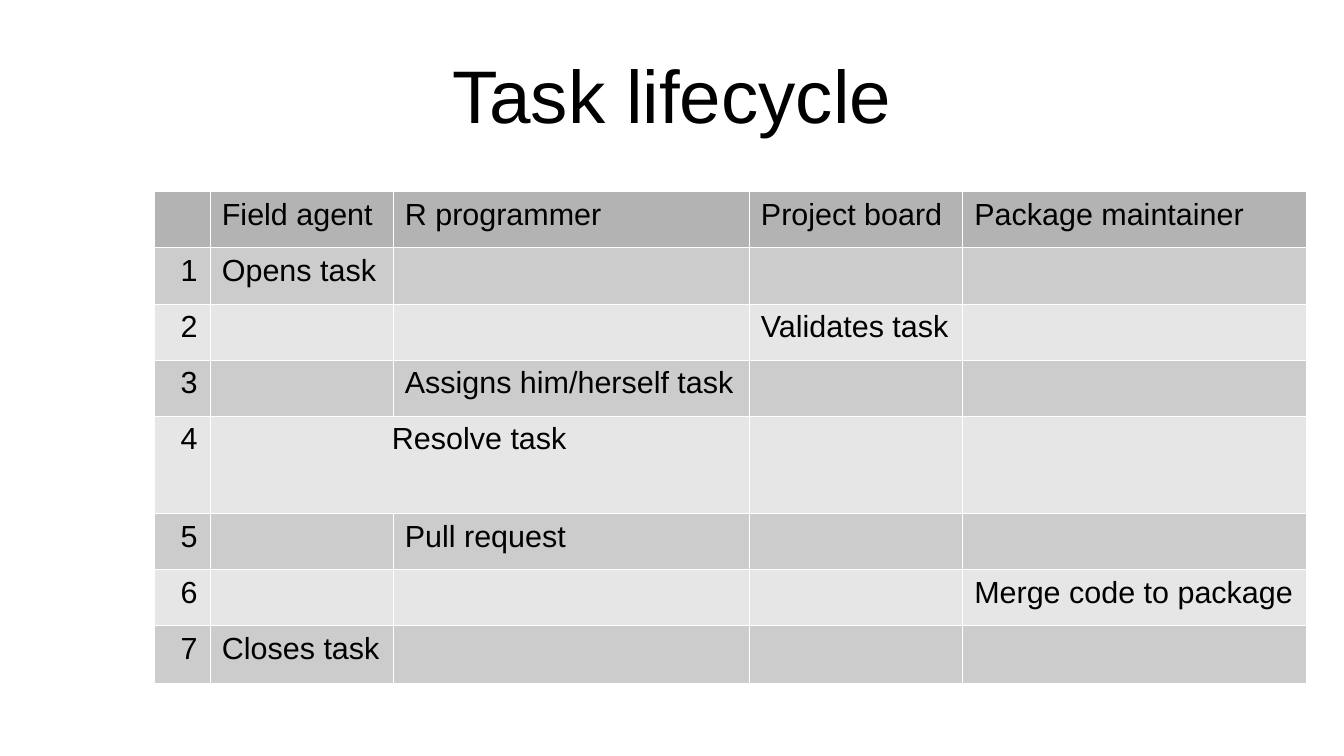
from dataclasses import dataclass

from lxml import etree
from pptx import Presentation
from pptx import util as u
from pptx.dml import color
from pptx.enum import text
from pptx.oxml import ns


@dataclass(frozen=True)
class Theme:
    font: str = "Arial"
    ink: str = "000000"
    header: str = "B3B3B3"
    odd_row: str = "CCCCCC"
    even_row: str = "E6E6E6"
    border: str = "FFFFFF"
    border_width: float = 0.06
    title_size: int = 44
    cell_size: int = 18


@dataclass(frozen=True)
class Step:
    role: int
    action: str
    roles_spanned: int = 1
    height: float = 0.46


THEME = Theme()
ROLES = ["Field agent", "R programmer", "Project board", "Package maintainer"]
STEPS = [
    Step(1, "Opens task"),
    Step(3, "Validates task"),
    Step(2, "Assigns him/herself task"),
    Step(1, "Resolve task", roles_spanned=2, height=0.8),
    Step(2, "Pull request"),
    Step(4, "Merge code to package"),
    Step(1, "Closes task", height=0.47),
]
COLUMN_WIDTHS = [0.46, 1.5, 2.92, 1.75, 2.82]
HEADER_HEIGHT = 0.46
CELL_MARGINS = {
    "margin_left": u.Inches(0.1),
    "margin_right": u.Inches(0.1),
    "margin_top": u.Inches(0.05),
    "margin_bottom": u.Inches(0.05),
}
TITLE_FRAME = {
    "margin_left": 0,
    "margin_right": 0,
    "margin_top": 0,
    "margin_bottom": 0,
    "word_wrap": True,
    "vertical_anchor": text.MSO_ANCHOR.MIDDLE,
}
PLAIN_TABLE = {"first_row": False, "horz_banding": False}


def apply_format(target: object, values: dict) -> None:
    for name, value in values.items():
        setattr(target, name, value)


def write(frame: object, words: str, size: int, align: text.PP_ALIGN) -> None:
    paragraph = frame.paragraphs[0]
    paragraph.alignment = align
    run = paragraph.add_run()
    run.text = words
    apply_format(run.font, {"name": THEME.font, "size": u.Pt(size), "bold": False})
    run.font.color.rgb = color.RGBColor.from_string(THEME.ink)


def style_cell(cell: object, fill: str) -> None:
    apply_format(cell, CELL_MARGINS)
    properties = cell._tc.get_or_add_tcPr()
    for side in ("a:lnL", "a:lnR", "a:lnT", "a:lnB"):
        edge = etree.SubElement(properties, ns.qn(side), w=str(u.Pt(THEME.border_width)))
        solid = etree.SubElement(edge, ns.qn("a:solidFill"))
        etree.SubElement(solid, ns.qn("a:srgbClr"), val=THEME.border)
    cell.fill.solid()
    cell.fill.fore_color.rgb = color.RGBColor.from_string(fill)


def add_title(slide: object) -> None:
    title = slide.shapes.add_textbox(
        u.Inches(0.55), u.Inches(0.25), u.Inches(9.92), u.Inches(1.04)
    )
    apply_format(title.text_frame, TITLE_FRAME)
    write(title.text_frame, "Task lifecycle", THEME.title_size, text.PP_ALIGN.CENTER)


def add_lifecycle(slide: object) -> None:
    heights = [HEADER_HEIGHT, *(step.height for step in STEPS)]
    lifecycle = slide.shapes.add_table(
        len(heights), len(COLUMN_WIDTHS), u.Inches(1.26), u.Inches(1.57),
        u.Inches(sum(COLUMN_WIDTHS)), u.Inches(sum(heights)),
    ).table
    apply_format(lifecycle, PLAIN_TABLE)
    for column, width in zip(lifecycle.columns, COLUMN_WIDTHS):
        column.width = u.Inches(width)
    for number, height in enumerate(heights):
        lifecycle.rows[number].height = u.Inches(height)
        band = THEME.odd_row if number % 2 else THEME.even_row
        for cell in lifecycle.rows[number].cells:
            style_cell(cell, band if number else THEME.header)

    for column, role in enumerate(ROLES, start=1):
        write(lifecycle.cell(0, column).text_frame, role, THEME.cell_size, text.PP_ALIGN.LEFT)
    for number, step in enumerate(STEPS, start=1):
        write(lifecycle.cell(number, 0).text_frame, str(number), THEME.cell_size, text.PP_ALIGN.RIGHT)
        action = lifecycle.cell(number, step.role)
        align = text.PP_ALIGN.LEFT
        if step.roles_spanned > 1:
            action.merge(lifecycle.cell(number, step.role + step.roles_spanned - 1))
            align = text.PP_ALIGN.CENTER
        write(action.text_frame, step.action, THEME.cell_size, align)


def main() -> None:
    deck = Presentation()
    apply_format(deck, {"slide_width": u.Inches(11.02), "slide_height": u.Inches(6.2)})
    slide = deck.slides.add_slide(deck.slide_layouts[6])
    add_title(slide)
    add_lifecycle(slide)
    deck.save("out.pptx")


if __name__ == "__main__":
    main()
